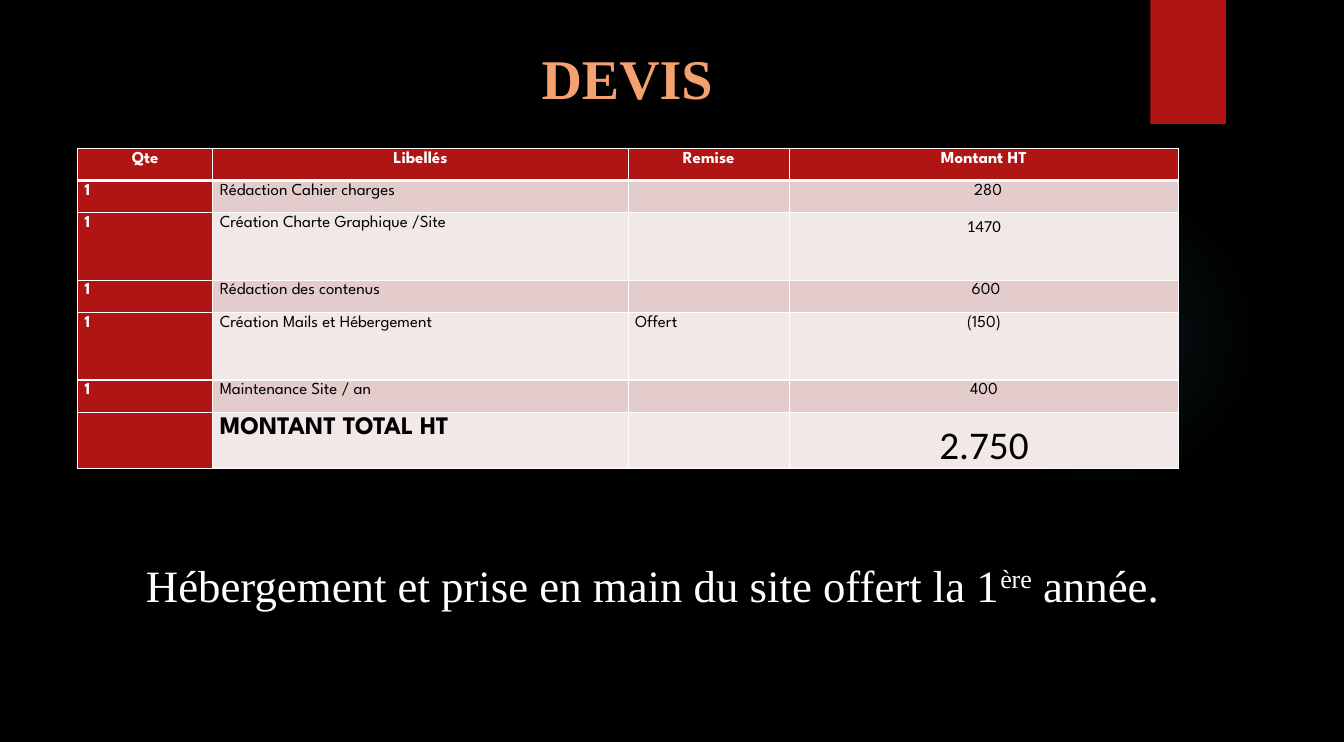
"""Build the quotation slide: title, priced table and hosting note."""
from dataclasses import dataclass

from lxml import etree
from pptx import Presentation
from pptx.dml.color import RGBColor
from pptx.enum.shapes import MSO_SHAPE
from pptx.enum.text import MSO_ANCHOR, MSO_AUTO_SIZE, PP_ALIGN
from pptx.oxml import parse_xml
from pptx.oxml.ns import qn
from pptx.util import Inches, Pt

ELLIPSE, RECTANGLE = MSO_SHAPE.OVAL, MSO_SHAPE.RECTANGLE
LEFT, CENTER = PP_ALIGN.LEFT, PP_ALIGN.CENTER
MIDDLE, TOP = MSO_ANCHOR.MIDDLE, MSO_ANCHOR.TOP
GROW = MSO_AUTO_SIZE.SHAPE_TO_FIT_TEXT
SERIF, SANS, DIGITS = "Times New Roman", "League Spartan", "Calibri"
BLACK, WHITE, RED, ORANGE, TEAL = "000000", "FFFFFF", "B01513", "F4A16F", "50B9C1"
BANDS = ("F2E8E7", "E4CCCC")
HEADINGS = ("Qte", "Libellés", "Remise", "Montant HT")
COLUMN_WIDTHS = (1.34, 4.12, 1.6, 3.86)
ROW_HEIGHTS = (0.32, 0.32, 0.67, 0.32, 0.67, 0.32, 0.56)
GLOW_STOPS = ((0, 7), (36, 6), (69, 0), (100, 0))
DRAWING_NS = "http://schemas.openxmlformats.org/drawingml/2006/main"


@dataclass(frozen=True)
class QuoteLine:
    """One row of the quotation."""
    quantity: str
    label: str
    discount: str
    amount: str
    amount_font: str = SANS
    label_size: int = 12
    amount_size: int = 12
    label_bold: bool = False
    amount_indent: float = 0


QUOTE_LINES = (
    QuoteLine("1", "Rédaction Cahier charges", "", "280", amount_indent=0.08),
    QuoteLine("1", "Création Charte Graphique /Site", "", "1470", amount_font=DIGITS),
    QuoteLine("1", "Rédaction des contenus", "", "600", amount_indent=0.04),
    QuoteLine("1", "Création Mails et Hébergement", "Offert", "(150)"),
    QuoteLine("1", "Maintenance Site / an", "", "400"),
    QuoteLine("", "MONTANT TOTAL HT", "", "2.750", amount_font=DIGITS,
              label_size=18, amount_size=28, label_bold=True),
)


def color(value: str) -> RGBColor:
    """Turn a hex string into a colour."""
    return RGBColor.from_string(value)


def write(paragraph, text: str, *, size: float = 12, font: str = SANS, fill: str = BLACK,
          bold: bool = False, align=LEFT, spacing: float = 1, raised: int = 0) -> None:
    """Add a formatted run to a paragraph."""
    paragraph.alignment = align
    paragraph.line_spacing = spacing
    run = paragraph.add_run()
    run.text = text
    run.font.size, run.font.name, run.font.bold = Pt(size), font, bold
    run.font.color.rgb = color(fill)
    if raised:
        run._r.get_or_add_rPr().set("baseline", str(raised * 1000))


def add_block(slide, kind, left: float, top: float, width: float, height: float):
    """Add a plain red shape without line or shadow."""
    block = slide.shapes.add_shape(kind, Inches(left), Inches(top), Inches(width), Inches(height))
    block.shadow.inherit = False
    block.line.fill.background()
    block.fill.solid()
    block.fill.fore_color.rgb = color(RED)
    return block


def add_glow(slide) -> None:
    """Add the faint round glow behind the table."""
    glow = add_block(slide, ELLIPSE, 9.41, 1.8, 3.08, 3.03)
    stops = "".join(
        f'<a:gs pos="{place * 1000}"><a:srgbClr val="{TEAL}">'
        f'<a:alpha val="{alpha * 1000}"/></a:srgbClr></a:gs>'
        for place, alpha in GLOW_STOPS)
    gradient = parse_xml(
        f'<a:gradFill xmlns:a="{DRAWING_NS}"><a:gsLst>{stops}</a:gsLst><a:path path="circle">'
        '<a:fillToRect l="50000" t="50000" r="50000" b="50000"/></a:path></a:gradFill>')
    properties = glow._element.spPr
    properties.replace(properties.find(qn("a:solidFill")), gradient)


def add_text_frame(slide, left: float, top: float, width: float, height: float, anchor):
    """Add a wrapping text box and return its frame."""
    box = slide.shapes.add_textbox(Inches(left), Inches(top), Inches(width), Inches(height))
    frame = box.text_frame
    frame.word_wrap = True
    frame.vertical_anchor = anchor
    return frame


def style_cell(cell, fill: str, top: float, bottom: float, indent: float = 0) -> None:
    """Set a cell's margins, white borders and fill."""
    cell.margin_left, cell.margin_right = Inches(0.07 + indent), Inches(0.07)
    cell.margin_top = cell.margin_bottom = 0
    properties = cell._tc.get_or_add_tcPr()
    for side, width in (("L", 1), ("R", 1), ("T", top), ("B", bottom)):
        line = etree.SubElement(properties, qn(f"a:ln{side}"), w=str(Pt(width)))
        solid = etree.SubElement(line, qn("a:solidFill"))
        etree.SubElement(solid, qn("a:srgbClr"), val=WHITE)
    cell.fill.solid()
    cell.fill.fore_color.rgb = color(fill)


def add_quote_table(slide) -> None:
    """Add the table of quoted services."""
    table = slide.shapes.add_table(
        len(ROW_HEIGHTS), len(COLUMN_WIDTHS), Inches(0.77), Inches(1.47),
        Inches(sum(COLUMN_WIDTHS)), Inches(sum(ROW_HEIGHTS))).table
    for column, width in zip(table.columns, COLUMN_WIDTHS):
        column.width = Inches(width)
    for row, height in zip(table.rows, ROW_HEIGHTS):
        row.height = Inches(height)
    for cell, heading in zip(table.rows[0].cells, HEADINGS):
        style_cell(cell, RED, 1, 3)
        write(cell.text_frame.paragraphs[0], heading, fill=WHITE, bold=True,
              align=CENTER, spacing=1.2)
    for number, quote in enumerate(QUOTE_LINES, start=1):
        entries = (
            (quote.quantity, RED, 0, {"fill": WHITE, "bold": True}),
            (quote.label, BANDS[number % 2], 0,
             {"size": quote.label_size, "bold": quote.label_bold}),
            (quote.discount, BANDS[number % 2], 0, {}),
            (quote.amount, BANDS[number % 2], quote.amount_indent,
             {"size": quote.amount_size, "font": quote.amount_font, "align": CENTER}),
        )
        for cell, (text, fill, indent, style) in zip(table.rows[number].cells, entries):
            style_cell(cell, fill, 3 if number == 1 else 1, 1, indent)
            if text:
                write(cell.text_frame.paragraphs[0], text, spacing=1.2, **style)


def main() -> None:
    """Assemble and save the slide."""
    deck = Presentation()
    deck.slide_width, deck.slide_height = Inches(13.33), Inches(7.36)
    slide = deck.slides.add_slide(deck.slide_layouts[6])
    slide.background.fill.solid()
    slide.background.fill.fore_color.rgb = color(BLACK)
    add_glow(slide)
    add_block(slide, RECTANGLE, 11.41, 0, 0.75, 1.23)
    title = add_text_frame(slide, 2.37, 0.35, 7.7, 0.92, MIDDLE)
    write(title.paragraphs[0], "DEVIS", size=40, font=SERIF, fill=ORANGE, bold=True,
          align=CENTER, spacing=0.9)
    note = add_text_frame(slide, 1.35, 5.48, 10.64, 0.64, TOP)
    note.auto_size = GROW
    for text, raised in (("Hébergement et prise en main du site offert la 1", 0),
                         ("ère", 30), (" année.", 0)):
        write(note.paragraphs[0], text, size=32, font=SERIF, fill=WHITE, raised=raised)
    add_quote_table(slide)
    deck.save("out.pptx")


if __name__ == "__main__":
    main()
